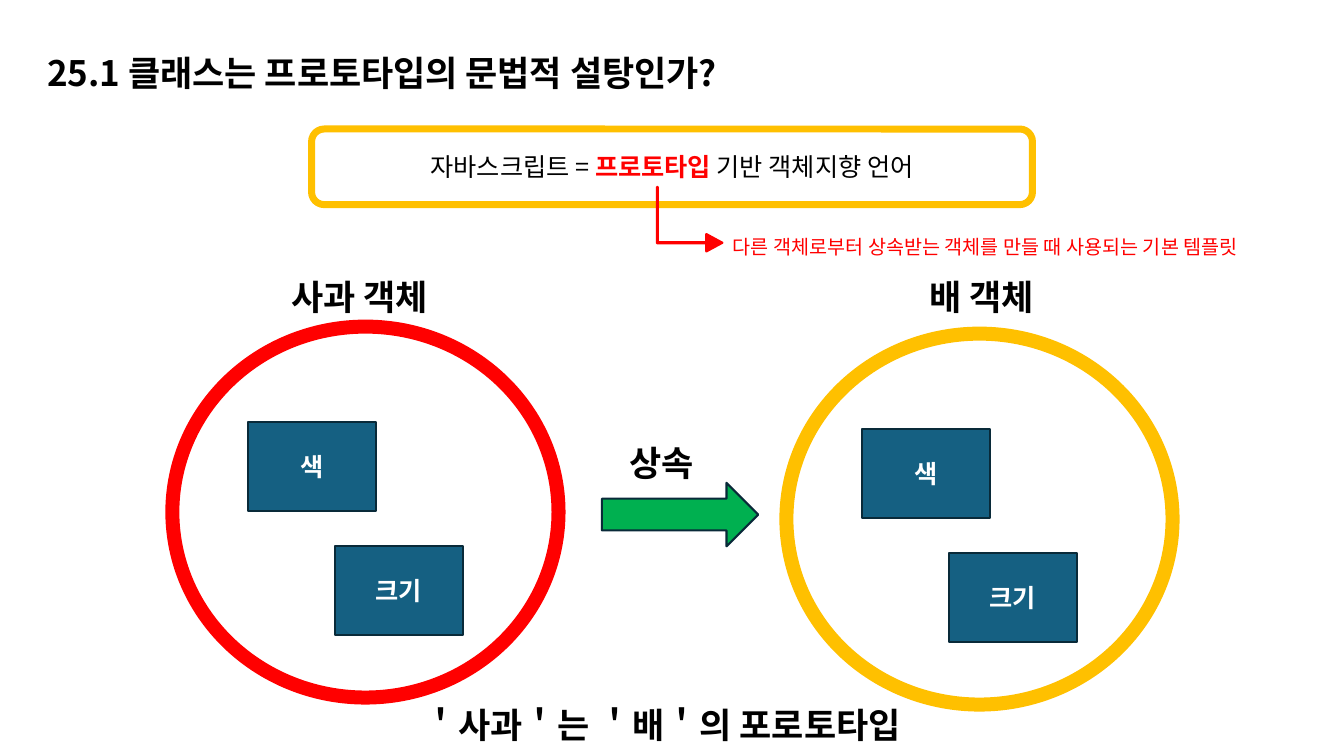
from pptx import Presentation
from pptx.dml.color import RGBColor
from pptx.enum.shapes import MSO_SHAPE
from pptx.enum.text import MSO_ANCHOR, PP_ALIGN
from pptx.oxml.ns import qn
from pptx.util import Inches, Pt
from lxml import etree

FONT = "Noto Sans CJK KR"
COLORS = {
    "black": "000000",
    "white": "FFFFFF",
    "red": "FF0000",
    "yellow": "FFC000",
    "green": "00B050",
    "blue": "156082",
    "navy": "092A39",
}


def format_run(run, size, color="black", bold=False):
    """Style a run, using the same font for Latin and Korean text."""
    run.font.size = Pt(size)
    run.font.bold = bold
    run.font.color.rgb = RGBColor.from_string(COLORS[color])
    run.font.name = FONT
    east_asian = etree.SubElement(run.font._element, qn("a:ea"))
    east_asian.set("typeface", FONT)


def add_text(slide, left, top, width, height, text, size=25, color="black", bold=True):
    box = slide.shapes.add_textbox(Inches(left), Inches(top), Inches(width), Inches(height))
    box.text_frame.word_wrap = True
    box.text_frame.text = text
    format_run(box.text_frame.paragraphs[0].runs[0], size, color, bold)
    return box


def add_figure(slide, kind, left, top, width, height, fill, line, line_width):
    shape = slide.shapes.add_shape(kind, Inches(left), Inches(top), Inches(width), Inches(height))
    shape.shadow.inherit = False
    shape.fill.solid()
    shape.fill.fore_color.rgb = RGBColor.from_string(COLORS[fill])
    shape.line.color.rgb = RGBColor.from_string(COLORS[line])
    shape.line.width = Pt(line_width)
    return shape


def add_centred_runs(shape, parts):
    """Fill a shape with (text, color, bold) runs on one centred line."""
    shape.text_frame.vertical_anchor = MSO_ANCHOR.MIDDLE
    paragraph = shape.text_frame.paragraphs[0]
    paragraph.alignment = PP_ALIGN.CENTER
    for text, color, bold in parts:
        run = paragraph.add_run()
        run.text = text
        format_run(run, 18, color, bold)


def add_title(slide, left, top, width, height):
    title = add_text(slide, left, top, width, height, "25.1 클래스는 프로토타입의 문법적 설탕인가?")
    title.text_frame.vertical_anchor = MSO_ANCHOR.MIDDLE
    title.text_frame.paragraphs[0].line_spacing = 0.9


def add_definition(slide, left, top, width, height):
    """Draw the framed statement with the arrow to its explanation."""
    frame = add_figure(slide, MSO_SHAPE.ROUNDED_RECTANGLE, left, top, width, height,
                       "white", "yellow", 5)
    add_centred_runs(frame, [
        ("자바스크립트 = ", "black", False),
        ("프로토타입", "red", True),
        (" 기반 객체지향 언어", "black", False),
    ])
    arrow = add_figure(slide, MSO_SHAPE.BENT_UP_ARROW, left + 3.43, top + 0.57, 0.64, 0.65,
                       "red", "red", 1.5)
    arrow.rotation = 90
    for index, value in enumerate((0.015, 0.135, 0.25)):
        arrow.adjustments[index] = value
    add_text(slide, left + 4.08, top + 1, 5.49, 0.34,
             "다른 객체로부터 상속받는 객체를 만들 때 사용되는 기본 템플릿", 14, "red", False)


def add_object(slide, left, top, name, name_left, name_top, color):
    """Draw an object as a circle holding its properties, named above."""
    add_figure(slide, MSO_SHAPE.OVAL, left, top, 3.83, 3.68, "white", color, 10)
    for text, across, down in (("색", 0.75, 0.95), ("크기", 1.61, 2.18)):
        item = add_figure(slide, MSO_SHAPE.RECTANGLE, left + across, top + down, 1.27, 0.88,
                          "blue", "navy", 1.5)
        add_centred_runs(item, [(text, "white", True)])
    add_text(slide, left + name_left, top + name_top, 2.2, 0.52, name)


def add_inheritance(slide, left, top, width, height):
    add_figure(slide, MSO_SHAPE.RIGHT_ARROW, left, top, width, height, "green", "navy", 1.5)
    add_text(slide, left + 0.17, top - 0.46, width, 0.52, "상속")


def main():
    presentation = Presentation()
    presentation.slide_width = Inches(13.33)
    presentation.slide_height = Inches(7.5)
    slide = presentation.slides.add_slide(presentation.slide_layouts[6])
    add_title(slide, 0.37, 0.37, 11.5, 0.75)
    add_definition(slide, 3.09, 1.28, 7.15, 0.75)
    add_text(slide, 4.1, 6.93, 5.49, 0.52, "＇사과＇는 ＇배＇의 포로토타입")
    add_object(slide, 1.71, 3.24, "사과 객체", 1.08, -0.56, "red")
    add_object(slide, 7.8, 3.31, "배 객체", 1.32, -0.63, "yellow")
    add_inheritance(slide, 5.97, 4.79, 1.55, 0.63)
    presentation.save("out.pptx")


if __name__ == "__main__":
    main()
